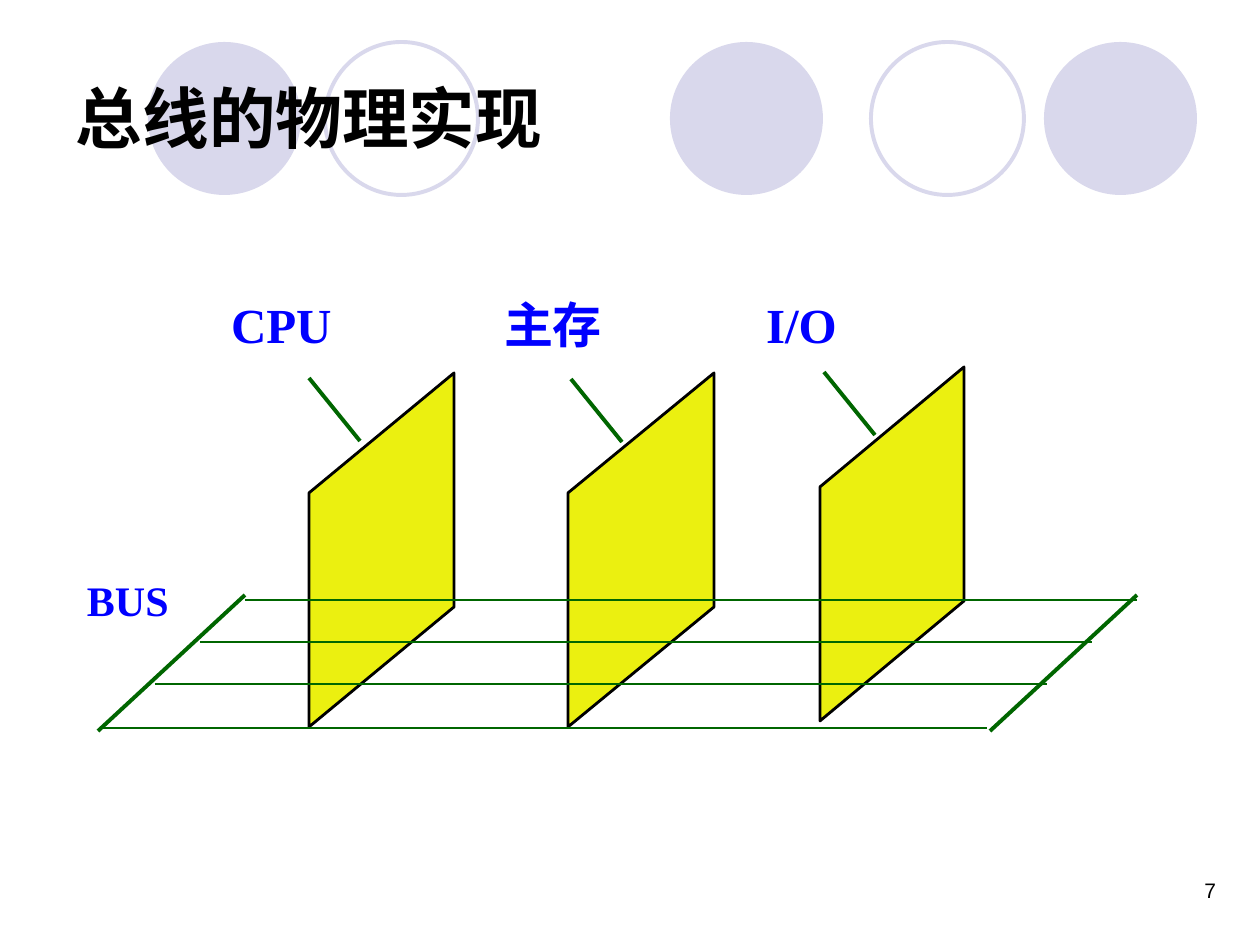
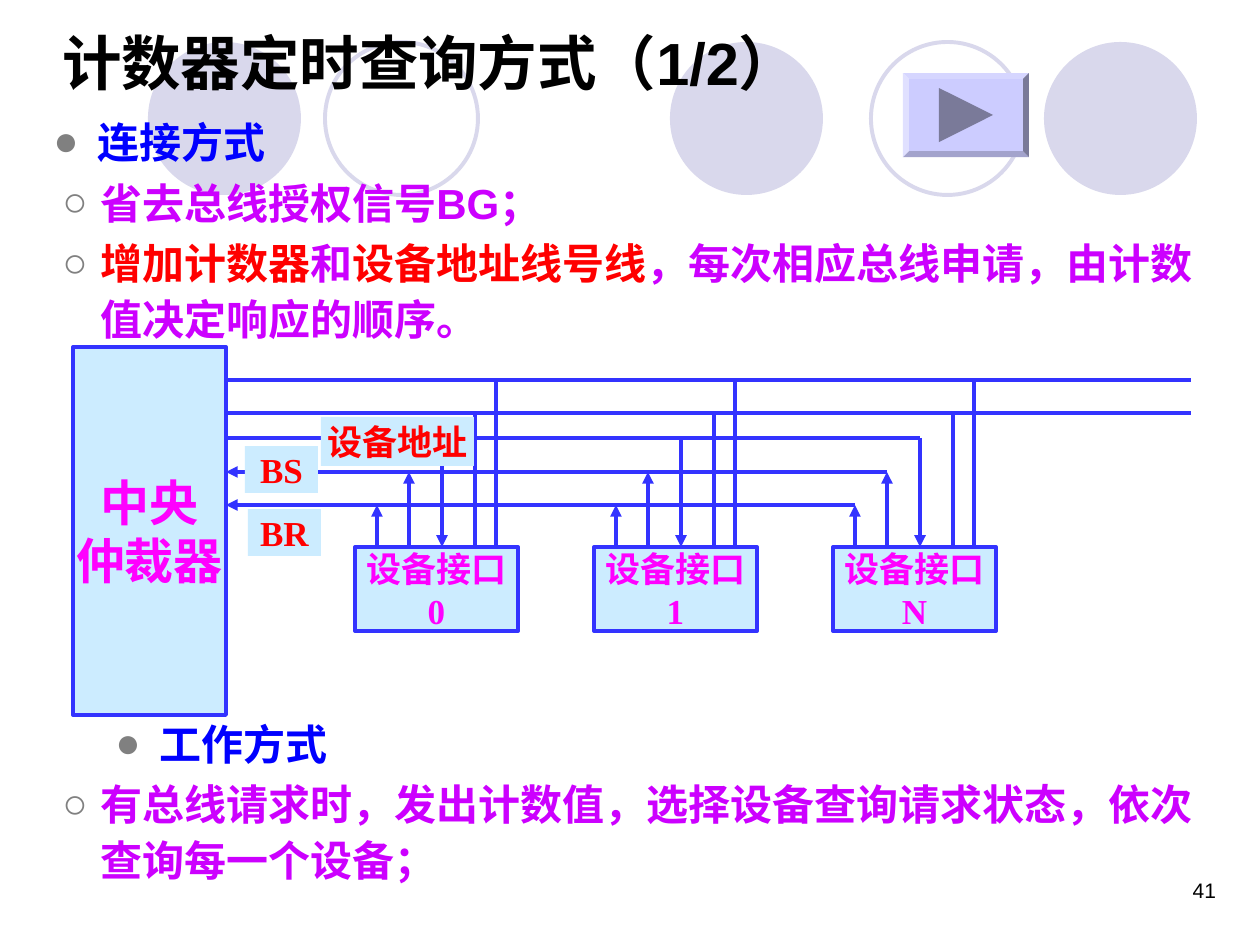
from lxml.etree import SubElement
from pptx import Presentation
from pptx.dml.color import RGBColor
from pptx.enum.shapes import MSO_CONNECTOR, MSO_SHAPE
from pptx.enum.text import MSO_ANCHOR, PP_ALIGN
from pptx.oxml.ns import qn
from pptx.util import Inches, Pt

PX = 914400 / 126
COLORS = {
    "black": "000000", "lavender": "D9D8EC", "blue": "0000FF", "green": "006600",
    "yellow": "EBF010", "violet": "CC00FF", "red": "FF0000", "gray": "808080",
    "ice": "CCECFF", "wire": "3333FF", "magenta": "FF00FF",
    "button": "CCCCFF", "arrow": "7A7A99",
}
SANS, SERIF = "Arial", "Times New Roman"
THICK, MEDIUM, THIN = 2.24, 1.62, 0.74
LINE_PITCH = 1.2


def px(*lengths):
    return [round(length * PX) for length in lengths]


def rgb(name):
    return RGBColor.from_string(COLORS[name])


# Shared drawing helpers
def paint(shape, fill=None, line=None, width=THICK):
    shape.shadow.inherit = False
    if fill:
        shape.fill.solid()
        shape.fill.fore_color.rgb = rgb(fill)
    else:
        shape.fill.background()
    if line:
        shape.line.color.rgb = rgb(line)
        shape.line.width = Pt(width)
    else:
        shape.line.fill.background()
    return shape


def add_preset(slide, kind, box, **style):
    return paint(slide.shapes.add_shape(kind, *px(*box)), **style)


def add_outline(slide, points, **style):
    builder = slide.shapes.build_freeform(*points[0], scale=PX)
    builder.add_line_segments(points[1:], close=True)
    return paint(builder.convert_to_shape(), **style)


def add_line(slide, start, end, color, width=THICK, arrow=False):
    line = slide.shapes.add_connector(MSO_CONNECTOR.STRAIGHT, *px(*start, *end))
    line.line.color.rgb = rgb(color)
    line.line.width = Pt(width)
    if arrow:
        SubElement(line.line._get_or_add_ln(), qn("a:tailEnd"), type="triangle")
    SubElement(line.element.spPr, qn("a:effectLst"))


def write(paragraph, runs, size, font, bold=True, pitch=LINE_PITCH):
    paragraph.line_spacing = Pt(round(size * pitch, 1))
    for text, color in runs:
        run = paragraph.add_run()
        run.text = text
        for name, value in {"size": Pt(size), "name": font, "bold": bold}.items():
            setattr(run.font, name, value)
        run.font.color.rgb = rgb(color)


def fill_text(shape, lines, size, color, font=SERIF, bold=True, wrap=False,
              align=PP_ALIGN.LEFT, anchor=MSO_ANCHOR.TOP, margins=(13, 6)):
    frame = shape.text_frame
    across, down = px(*margins)
    settings = {"word_wrap": wrap, "vertical_anchor": anchor,
                "margin_left": across, "margin_right": across,
                "margin_top": down, "margin_bottom": down}
    for name, value in settings.items():
        setattr(frame, name, value)
    for index, line in enumerate(lines):
        paragraph = frame.add_paragraph() if index else frame.paragraphs[0]
        paragraph.alignment = align
        write(paragraph, [(line, color)], size, font, bold)


def add_label(slide, box, text, size, color, **style):
    fill_text(slide.shapes.add_textbox(*px(*box)), [text], size, color, **style)


def add_block(slide, box, lines, size, color, line=None, kind=MSO_SHAPE.RECTANGLE):
    block = add_preset(slide, kind, box, fill="ice", line=line)
    fill_text(block, lines, size, color, align=PP_ALIGN.CENTER,
              anchor=MSO_ANCHOR.MIDDLE)


# Circle band, title and page number of every slide
def start_slide(deck, title, title_box, title_size, number):
    slide = deck.slides.add_slide(deck.slide_layouts[5])
    for x, filled in ((670, True), (1044, True), (148, True), (871, False), (325, False)):
        add_preset(slide, MSO_SHAPE.OVAL, (x, 42, 153, 153),
                   **{"fill" if filled else "line": "lavender"})
    heading = slide.shapes.title
    for name, value in zip(("left", "top", "width", "height"), px(*title_box)):
        setattr(heading, name, value)
    fill_text(heading, [title], title_size, "black", font=SANS, wrap=True,
              anchor=MSO_ANCHOR.MIDDLE)
    slide.shapes.element.append(heading.element)  # in front of the circles
    add_label(slide, (935, 872, 294, 63), number, 12, "black", font=SANS,
              bold=False, wrap=True, align=PP_ALIGN.RIGHT)
    return slide


# Board plugged into the bus, with its label and leader
def draw_board(slide, box, name, label_x, leader):
    x, y, width, height = box
    slant = 120
    add_outline(slide, [(x, y + slant), (x + width, y), (x + width, y + height - slant),
                        (x, y + height)], fill="yellow", line="black", width=MEDIUM)
    add_label(slide, (label_x, 295, 120, 59), name, 28, "blue", margins=(0, 0))
    add_line(slide, leader, (leader[0] + 51, leader[1] + 63), "green")


# Bus plane: slanted sides and parallel wires
def draw_bus(slide, box):
    x, y, width, height = box
    slant, span = 147, width - 147
    add_line(slide, (x + 4, y + height - 3), (x + span - 3, y + height - 3),
             "green", MEDIUM)
    add_label(slide, (x - 24, y - 26, 140, 63), "BUS", 24, "blue")
    for row in range(3):
        wire_x, wire_y = x + slant - 45 * row, y + 5 + 42 * row
        add_line(slide, (wire_x, wire_y), (wire_x + span, wire_y), "green", THIN)
    for side_x in (x, x + span):
        add_line(slide, (side_x + slant, y), (side_x, y + height), "green")


# Bulleted outline; each item is (level, runs)
def draw_outline(slide, box, items, first_indent=60):
    frame = slide.shapes.add_textbox(*px(*box)).text_frame
    frame.word_wrap = True
    levels = {0: ("●", first_indent, 44), 1: ("○", 63, 38)}
    for index, (level, runs) in enumerate(items):
        paragraph = frame.add_paragraph() if index else frame.paragraphs[0]
        paragraph.space_before = Pt(3)
        write(paragraph, runs, 24, SANS, pitch=1.32)
        mark, left, hang = levels[level]
        props = paragraph._p.get_or_add_pPr()
        for name, value in zip(("marL", "indent"), px(left, -hang)):
            props.set(name, str(value))
        color = SubElement(props, qn("a:buClr"))
        SubElement(color, qn("a:srgbClr"), val=COLORS["gray"])
        SubElement(props, qn("a:buSzPct"), val="100000")
        SubElement(props, qn("a:buFont"), typeface=SANS)
        SubElement(props, qn("a:buChar"), char=mark)


# Arbiter, shared wires and device interfaces
def draw_arbiter(slide, box):
    x, y, width, height = box
    arbiter_width = 153
    bus_x, device_y = x + arbiter_width, y + 200
    devices = [x + 282 + 239 * index for index in range(3)]
    add_block(slide, (x, y, arbiter_width, height), ["中央", "仲裁器"], 28,
              "magenta", "wire")
    # Each wire: height, tap offset on a device, direction, runs to the right edge
    wires = [(33, 141, None, True), (66, 120, None, True), (91, 87, "down", False),
             (125, 54, "up", False), (158, 22, "up", False)]
    for drop, tap, direction, full in wires:
        wire_y = y + drop
        end_x = x + width if full else devices[-1] + tap
        add_line(slide, (end_x, wire_y), (bus_x, wire_y), "wire",
                 arrow=direction == "up")
        for device_x in devices:
            ends = [(device_x + tap, wire_y), (device_x + tap, device_y)]
            if direction == "up":
                ends.reverse()
            add_line(slide, *ends, "wire", arrow=direction is not None)
    for device_x, name in zip(devices, "01N"):
        add_block(slide, (device_x, device_y, 163, 84), ["设备接口", name], 20,
                  "magenta", "wire", MSO_SHAPE.FLOWCHART_PROCESS)
    for label_box, text in (((175, 162, 73, 47), "BR"), ((172, 99, 73, 47), "BS"),
                            ((248, 70, 153, 49), "设备地址")):
        left, top, *size = label_box
        add_block(slide, (x + left, y + top, *size), [text], 20, "red")


# Bevelled forward button
def draw_button(slide, box):
    x, y, width, height = box
    bevel = add_preset(slide, MSO_SHAPE.BEVEL, box, fill="button")
    bevel.adjustments[0] = 0.07
    add_outline(slide, [(x + 36, y + 15), (x + 90, y + height // 2),
                        (x + 36, y + height - 15)], fill="arrow")


def build_bus_slide(deck):
    slide = start_slide(deck, "总线的物理实现", (63, 38, 1134, 157), 38, "7")
    draw_board(slide, (568, 373, 146, 354), "主存", 504, (571, 379))
    draw_board(slide, (309, 373, 145, 354), "CPU", 231, (309, 378))
    draw_board(slide, (820, 367, 144, 354), "I/O", 766, (824, 372))
    draw_bus(slide, (98, 595, 1039, 136))


def build_query_slide(deck):
    slide = start_slide(deck, "计数器定时查询方式（1/2）", (49, 9, 1134, 105), 34, "41")
    draw_outline(slide, (25, 105, 1203, 245), [
        (0, [("连接方式", "blue")]),
        (1, [("省去总线授权信号BG；", "violet")]),
        (1, [("增加计数器", "red"), ("和", "violet"), ("设备地址线号线", "red"),
             ("，每次相应总线申请，由计数值决定响应的顺序。", "violet")]),
    ])
    draw_outline(slide, (25, 707, 1203, 190), [
        (0, [("工作方式", "blue")]),
        (1, [("有总线请求时，发出计数值，选择设备查询请求状态，"
              "依次查询每一个设备；", "violet")]),
    ], first_indent=122)
    draw_arbiter(slide, (73, 347, 1118, 368))
    draw_button(slide, (903, 73, 126, 84))


deck = Presentation()
deck.slide_width, deck.slide_height = Inches(10), Inches(7.5)
build_bus_slide(deck)
build_query_slide(deck)
deck.save("out.pptx")
